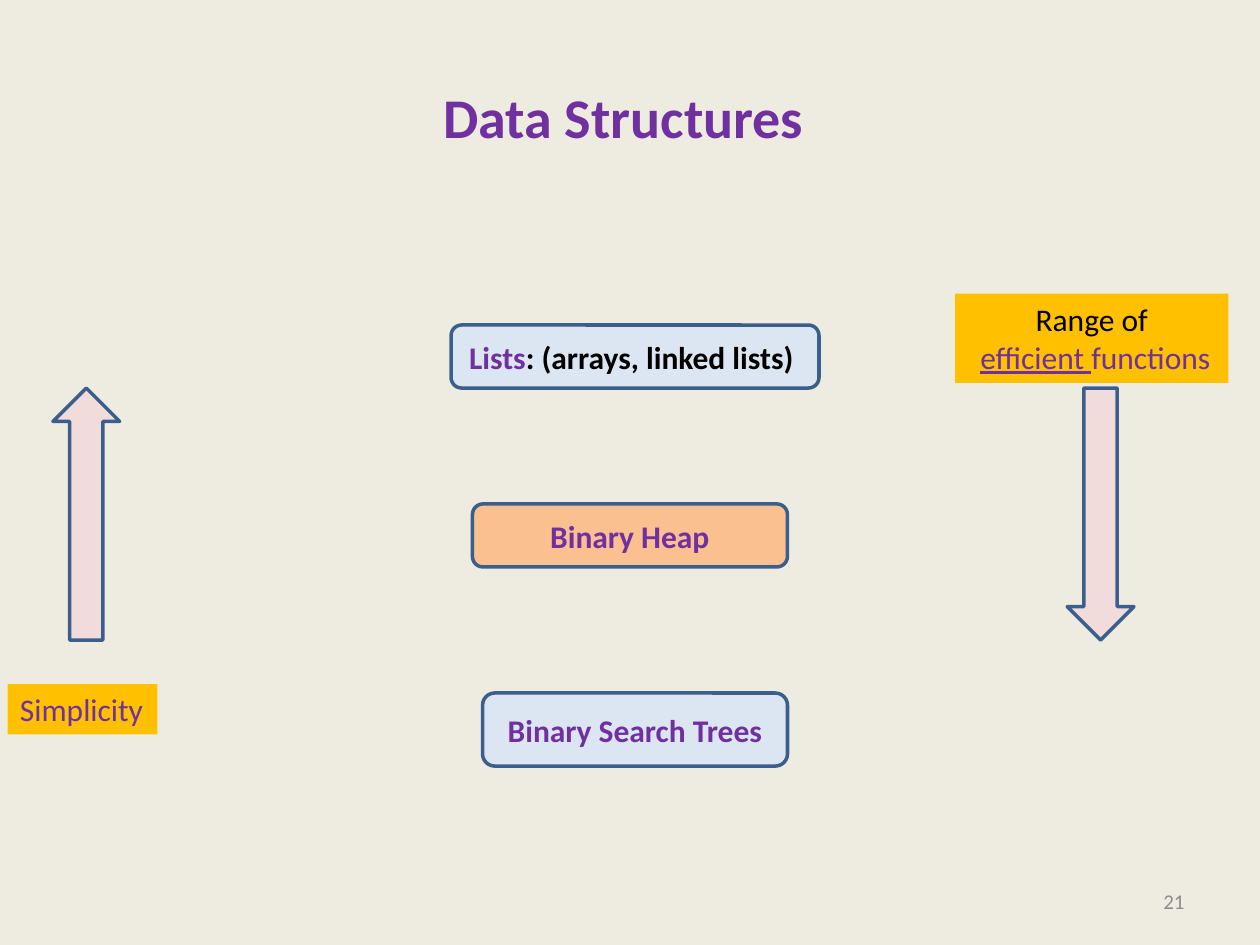
from dataclasses import dataclass
from typing import Optional

from pptx import Presentation
from pptx import util as u
from pptx.dml.color import RGBColor
from pptx.enum import shapes, text

BACKGROUND = RGBColor(0xEE, 0xEC, 0xE1)
PURPLE = RGBColor(0x70, 0x30, 0xA0)
BLACK = RGBColor(0, 0, 0)
GREY = RGBColor(0x8C, 0x8C, 0x8C)
OUTLINE = RGBColor(0x3A, 0x5F, 0x8C)
PALE_BLUE = RGBColor(0xDC, 0xE6, 0xF2)
ORANGE = RGBColor(0xFA, 0xC0, 0x90)
PINK = RGBColor(0xF2, 0xDC, 0xDB)
GOLD = RGBColor(0xFF, 0xC0, 0x00)

FONT = "Calibri"
GEOMETRY = shapes.MSO_SHAPE
ALIGN = text.PP_ALIGN
ANCHOR = text.MSO_ANCHOR


@dataclass(frozen=True)
class Run:
    content: str
    color: RGBColor = PURPLE
    size: int = 18
    bold: bool = False
    underline: bool = False


@dataclass(frozen=True)
class Box:
    left: float
    top: float
    width: float
    height: float

    def lengths(self) -> tuple:
        return tuple(map(u.Inches, (self.left, self.top, self.width, self.height)))


@dataclass(frozen=True)
class Node:
    box: Box
    fill: RGBColor
    runs: tuple


@dataclass(frozen=True)
class Arrow:
    geometry: GEOMETRY
    left: float


@dataclass(frozen=True)
class Label:
    box: Box
    lines: tuple
    align: ALIGN = ALIGN.CENTER
    anchor: ANCHOR = ANCHOR.TOP
    fill: Optional[RGBColor] = None
    wrap: bool = True


NODES = (
    Node(Box(3.58, 2.58, 2.92, 0.5), PALE_BLUE,
         (Run("Lists", bold=True), Run(": (arrays, linked lists) ", BLACK, bold=True))),
    Node(Box(3.75, 4, 2.5, 0.5), ORANGE, (Run("Binary Heap", bold=True),)),
    Node(Box(3.83, 5.5, 2.42, 0.58), PALE_BLUE, (Run("Binary Search Trees", bold=True),)),
)
ARROWS = (Arrow(GEOMETRY.UP_ARROW, 0.42), Arrow(GEOMETRY.DOWN_ARROW, 8.47))
LABELS = (
    Label(Box(0.5, 0.3, 9, 1.25), ((Run("Data Structures ", size=32, bold=True),),),
          anchor=ANCHOR.MIDDLE),
    Label(Box(7.17, 6.95, 2.33, 0.4), ((Run("21", GREY, 12),),), ALIGN.RIGHT, ANCHOR.MIDDLE),
    Label(Box(0.06, 5.43, 1.19, 0.4), ((Run("Simplicity"),),), ALIGN.LEFT,
          fill=GOLD, wrap=False),
    Label(Box(7.58, 2.33, 2.17, 0.71),
          ((Run("Range of", BLACK),),
           (Run(" ", BLACK), Run("efficient ", underline=True), Run("functions"))),
          fill=GOLD),
)


def write_lines(frame, lines: tuple, align: ALIGN, anchor: ANCHOR) -> None:
    frame.vertical_anchor = anchor
    for index, line in enumerate(lines):
        paragraph = frame.add_paragraph() if index else frame.paragraphs[0]
        paragraph.alignment = align
        for item in line:
            run = paragraph.add_run()
            run.text = item.content
            run.font.name = FONT
            run.font.size = u.Pt(item.size)
            run.font.bold = item.bold
            run.font.underline = item.underline
            run.font.color.rgb = item.color


def add_outlined_shape(slide, geometry: GEOMETRY, box: Box, fill: RGBColor):
    shape = slide.shapes.add_shape(geometry, *box.lengths())
    shape.shadow.inherit = False
    shape.fill.solid()
    shape.fill.fore_color.rgb = fill
    shape.line.color.rgb = OUTLINE
    shape.line.width = u.Pt(2)
    return shape


def add_node(slide, node: Node) -> None:
    shape = add_outlined_shape(slide, GEOMETRY.ROUNDED_RECTANGLE, node.box, node.fill)
    write_lines(shape.text_frame, (node.runs,), ALIGN.CENTER, ANCHOR.MIDDLE)


def add_label(slide, label: Label) -> None:
    shape = slide.shapes.add_textbox(*label.box.lengths())
    shape.text_frame.word_wrap = label.wrap
    if label.fill is not None:
        shape.fill.solid()
        shape.fill.fore_color.rgb = label.fill
        shape.text_frame.auto_size = text.MSO_AUTO_SIZE.SHAPE_TO_FIT_TEXT
    write_lines(shape.text_frame, label.lines, label.align, label.anchor)


def main() -> None:
    presentation = Presentation()
    presentation.slide_width = u.Inches(10)
    presentation.slide_height = u.Inches(7.5)
    slide = presentation.slides.add_slide(presentation.slide_layouts[6])
    slide.background.fill.solid()
    slide.background.fill.fore_color.rgb = BACKGROUND

    for node in NODES:
        add_node(slide, node)
    for arrow in ARROWS:
        add_outlined_shape(slide, arrow.geometry, Box(arrow.left, 3.08, 0.53, 2), PINK)
    for label in LABELS:
        add_label(slide, label)

    presentation.save("out.pptx")


if __name__ == "__main__":
    main()
